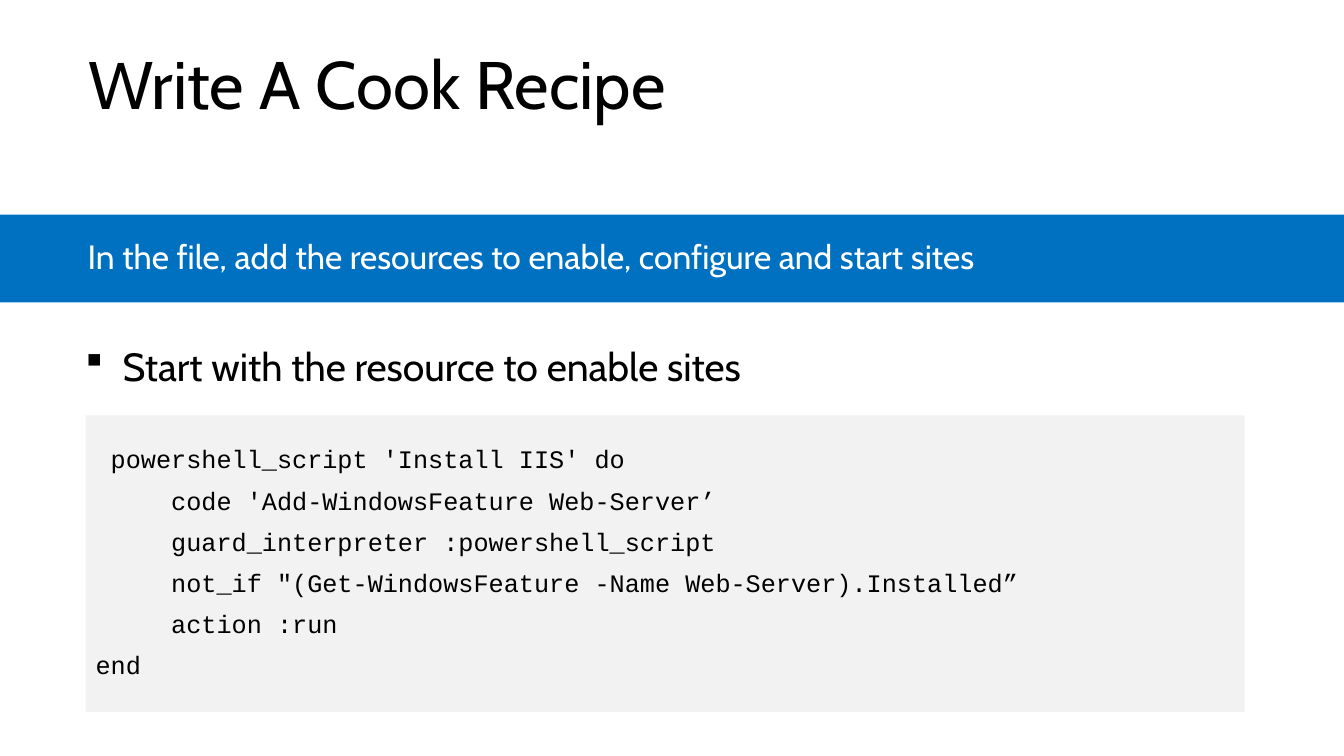
from dataclasses import dataclass

import pptx
import pptx.dml.color
import pptx.enum.shapes
import pptx.enum.text
import pptx.oxml
import pptx.oxml.ns
import pptx.util

Cm = pptx.util.Cm
Pt = pptx.util.Pt

BODY_FONT = "Cabin"
CODE_FONT = "Courier New"
BULLET_FONT = "Wingdings"


@dataclass
class Area:
    left: float
    top: float
    width: float
    height: float

    def lengths(self) -> tuple:
        return Cm(self.left), Cm(self.top), Cm(self.width), Cm(self.height)


@dataclass
class Wording:
    lines: list[str]
    font: str
    size: float
    color: str
    line_spacing: float = 0.9
    space_before: float = 10


def rgb(color: str) -> pptx.dml.color.RGBColor:
    return pptx.dml.color.RGBColor.from_string(color)


def write(frame, wording: Wording) -> None:
    frame.word_wrap = True
    frame.auto_size = pptx.enum.text.MSO_AUTO_SIZE.NONE
    frame.vertical_anchor = pptx.enum.text.MSO_ANCHOR.MIDDLE
    for number, line in enumerate(wording.lines):
        paragraph = frame.add_paragraph() if number else frame.paragraphs[0]
        paragraph.text = line
        paragraph.alignment = pptx.enum.text.PP_ALIGN.LEFT
        paragraph.line_spacing = wording.line_spacing
        if number:
            paragraph.space_before = Pt(wording.space_before)
        paragraph.font.name = wording.font
        paragraph.font.size = Pt(wording.size)
        paragraph.font.color.rgb = rgb(wording.color)


def add_panel(slide, area: Area, color: str):
    panel = slide.shapes.add_shape(
        pptx.enum.shapes.MSO_SHAPE.RECTANGLE, *area.lengths())
    panel.shadow.inherit = False
    panel.fill.solid()
    panel.fill.fore_color.rgb = rgb(color)
    panel.line.fill.background()
    return panel


def add_text(slide, area: Area, wording: Wording):
    box = slide.shapes.add_textbox(*area.lengths())
    write(box.text_frame, wording)
    return box


def add_bullet(paragraph, mark: str, margin: float, hanging: float) -> None:
    properties = paragraph._p.get_or_add_pPr()
    properties.set("marL", str(Cm(margin)))
    properties.set("indent", str(-Cm(hanging)))
    namespace = pptx.oxml.ns.nsdecls("a")
    following = properties.find(pptx.oxml.ns.qn("a:defRPr"))
    for element in (f'<a:buFont {namespace} typeface="{BULLET_FONT}"/>',
                    f'<a:buChar {namespace} char="{mark}"/>'):
        following.addprevious(pptx.oxml.parse_xml(element))


def main() -> None:
    """Build the slide on writing a recipe and save it."""
    deck = pptx.Presentation()
    deck.slide_width, deck.slide_height = Cm(33.87), Cm(19.05)
    slide = deck.slides.add_slide(deck.slide_layouts[5])

    title = slide.shapes.title
    title.left, title.top, title.width, title.height = Area(
        1.98, 0.36, 29.21, 3.68).lengths()
    write(title.text_frame,
          Wording(["Write A Cook Recipe"], BODY_FONT, 48, "000000"))

    add_panel(slide, Area(0, 5.41, 33.87, 2.21), "0070C0")
    add_text(slide, Area(1.96, 5.41, 31.5, 2.21), Wording(
        ["In the file, add the resources to enable, configure and start sites"],
        BODY_FONT, 24, "FFFFFF"))

    first_step = add_text(slide, Area(0, 7.62, 32.26, 3.18), Wording(
        ["Start with the resource to enable sites"],
        BODY_FONT, 28, "000000", line_spacing=1.0))
    add_bullet(first_step.text_frame.paragraphs[0], "§", 2.84, 0.94)

    recipe = add_panel(slide, Area(2.16, 10.47, 29.21, 7.47), "F2F2F2")
    write(recipe.text_frame, Wording([
        " powershell_script 'Install IIS' do",
        "     code 'Add-WindowsFeature Web-Server’",
        "     guard_interpreter :powershell_script",
        "     not_if \"(Get-WindowsFeature -Name Web-Server).Installed”",
        "     action :run",
        "end",
    ], CODE_FONT, 18, "000000"))

    deck.save("out.pptx")


if __name__ == "__main__":
    main()
